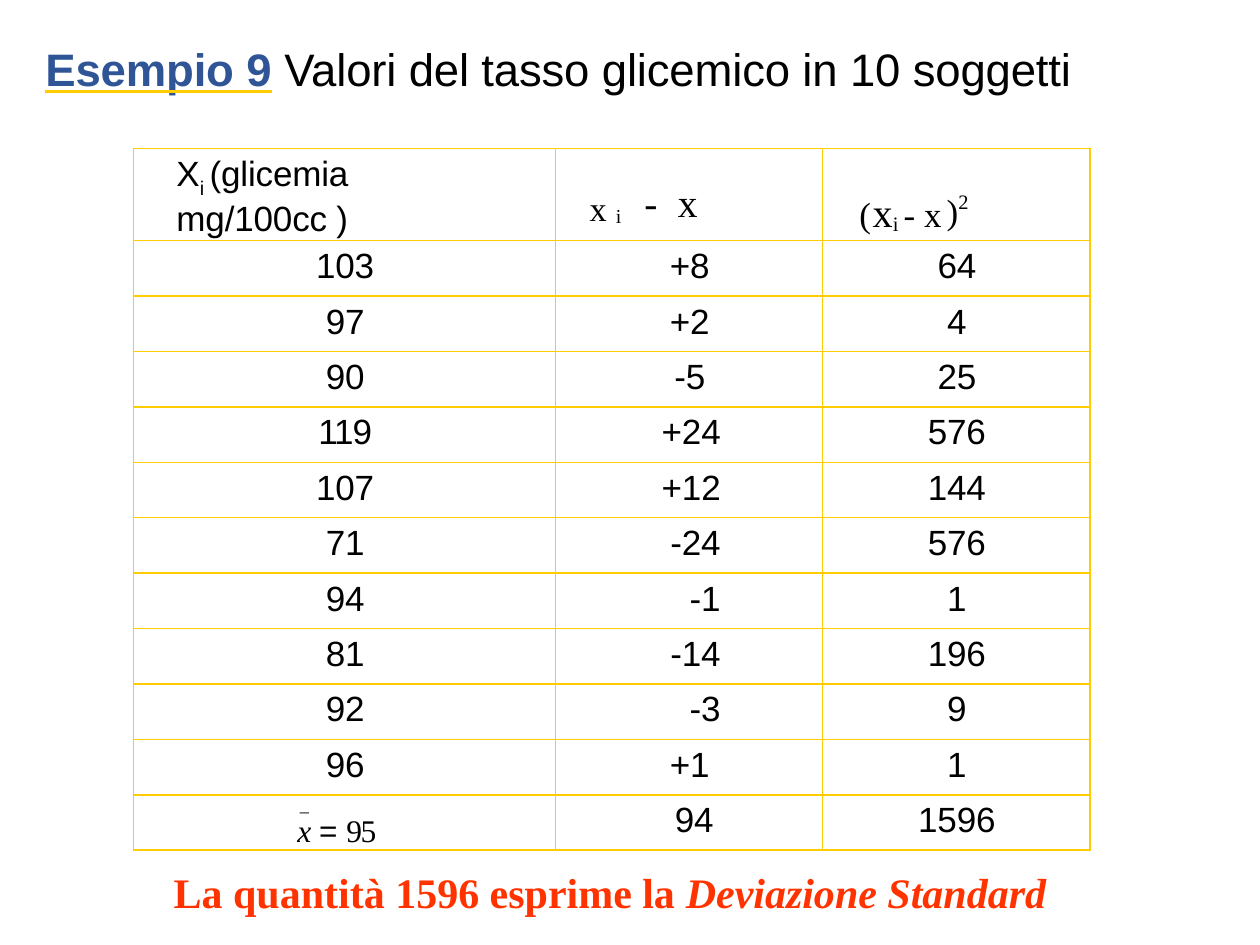
import pptx
import pptx.util
import pptx.oxml
import pptx.oxml.ns
import pptx.dml.color
import pptx.enum.text

Inch, Pt = pptx.util.Inches, pptx.util.Pt
Color = pptx.dml.color.RGBColor
Align = pptx.enum.text.PP_ALIGN
BLACK = Color(0, 0, 0)
BLUE = Color(0x2F, 0x55, 0x97)
RED = Color(0xFF, 0x33, 0x00)
GOLD = Color(0xFF, 0xCC, 0x00)
SANS, SERIF = "Arial", "Times New Roman"
NS = pptx.oxml.ns.nsdecls("a")

deck = pptx.Presentation()
deck.slide_width, deck.slide_height = Inch(10), Inch(7.5)
slide = deck.slides.add_slide(deck.slide_layouts[6])


def write(para, runs, indent=0, **form):
    """Fill a paragraph with runs of (text, font values, letter spacing, baseline %)."""
    para._p.get_or_add_pPr().set("marL", str(Inch(indent)))
    for key, value in form.items():
        setattr(para, key, value)
    for text, font, space, base in runs:
        run = para.add_run()
        run.text = text
        run.font.color.rgb = BLACK
        for key, value in font.items():
            if key == "color":
                run.font.color.rgb = value
            else:
                setattr(run.font, key, value)
        props = run._r.get_or_add_rPr()
        props.set("spc", str(round(space * 100)))
        if base:
            props.set("baseline", str(base * 1000))


def face(name, size, **more):
    return dict(name=name, size=Pt(size), **more)


# Table grid
ROWS = [
    ("103", "+8", "64"), ("97", "+2", "4"), ("90", "-5", "25"),
    ("119", "+24", "576"), ("107", "+12", "144"), ("71", "-24", "576"),
    ("94", "-1", "1"), ("81", "-14", "196"), ("92", "-3", "9"),
    ("96", "+1", "1"), ("", "94", "1596"),
]
frame = slide.shapes.add_table(len(ROWS) + 1, 3, Inch(1.06), Inch(1.18), Inch(7.59), Inch(5.56))
table = frame.table
table.first_row = table.horz_banding = False
for col, width in zip(table.columns, (3.35, 2.12, 2.12)):
    col.width = Inch(width)
for num, row in enumerate(table.rows):
    row.height = Inch(0.44 if num else 0.68)

# Cell margins, fill and borders
for cell in table.iter_cells():
    cell.margin_left = cell.margin_right = cell.margin_bottom = 0
    cell.margin_top = Inch(0.05)
    props = cell._tc.get_or_add_tcPr()
    for side in "LRTB":
        props.append(pptx.oxml.parse_xml(
            f'<a:ln{side} {NS} w="12700"><a:solidFill><a:srgbClr val="{GOLD}"/>'
            f'</a:solidFill></a:ln{side}>'))
    cell.fill.background()

# Header formulas: indent, top margin, space before, runs
HEADS = [
    (0.34, 0.05, 3.6, [
        ("X", face(SANS, 20), 0, 0), ("i ", face(SANS, 19.5), 0, -26),
        ("(glicemia\tmg/100cc )", face(SANS, 20), -0.1, 0)]),
    (0.27, 0.13, 9.4, [
        ("x", face(SERIF, 33.8), 5.2, -7), ("i ", face(SERIF, 19.5), 5.2, -17),
        ("- ", face(SERIF, 22.5), 3, 0), ("x", face(SERIF, 22.5), 4.5, 0)]),
    (0.29, 0.2, 14.2, [
        ("(", face(SERIF, 34.5), 1, 1), ("x", face(SERIF, 23), -0.3, 0),
        ("i ", face(SERIF, 20.2), 0, -10), ("- ", face(SERIF, 34.5), 0, 1),
        ("x", face(SERIF, 34.5), 2.9, 1), (")", face(SERIF, 34.5), 0, 5),
        ("2", face(SERIF, 20.2), 0, 51)]),
]
for num, (indent, top, gap, runs) in enumerate(HEADS):
    cell = table.cell(0, num)
    cell.margin_top = Inch(top)
    write(cell.text_frame.paragraphs[0], runs, indent, space_before=Pt(gap))
table.cell(0, 0).margin_right = Inch(0.5)

# Values; two-digit and late negative differences align right
RIGHT = range(4, 10)
for num, row in enumerate(ROWS, 1):
    for col, text in enumerate(row):
        if not text:
            continue
        cell = table.cell(num, col)
        right = col == 1 and num in RIGHT
        if right:
            cell.margin_right = Inch(0.81)
        indent = 0 if right else 0.08 if text == "94" and col else 0.01
        space = -0.6 if text == "119" else -0.1
        write(cell.text_frame.paragraphs[0], [(text, face(SANS, 20), space, 0)], indent,
              alignment=Align.RIGHT if right else Align.CENTER, space_before=Pt(3.6))

# Mean of x
mean = table.cell(len(ROWS), 0)
mean.margin_top = Inch(0.01)
write(mean.text_frame.paragraphs[0], [("_", face(SERIF, 10.5), 0, 0)], 1.32,
      line_spacing=Pt(11.3), space_before=Pt(0.7))
write(mean.text_frame.add_paragraph(), [
    ("x ", face(SERIF, 18, italic=True), 0, 0), ("= ", face(SANS, 18), 0, 0),
    ("95", face(SERIF, 18), -0.8, 0)], 1.3, line_spacing=Pt(18.9))

# Closing line
note = slide.shapes.add_textbox(Inch(1.18), Inch(6.63), Inch(8.06), Inch(0.64)).text_frame
note.word_wrap = True
bold = face(SERIF, 24, bold=True, color=RED)
write(note.paragraphs[0], [
    ("La quantità 1596 esprime la ", bold, 0, 0),
    ("Deviazione Standard", dict(bold, italic=True), 0, 0)],
    0.1, line_spacing=Pt(43), space_before=Pt(3.5))

# Title with a gold underline
title = slide.shapes.add_textbox(Inch(0.3), Inch(0.3), Inch(8.25), Inch(0.46)).text_frame
title.word_wrap = True
title.vertical_anchor = pptx.enum.text.MSO_ANCHOR.BOTTOM
title.margin_left = title.margin_right = title.margin_bottom = 0
title.margin_top = Inch(0.01)
lead = face(SANS, 26, bold=True, color=BLUE)
write(title.paragraphs[0], [
    ("Esempio 9", dict(lead, underline=True), -0.1, 0), (" ", lead, -0.1, 0),
    ("Valori del tasso glicemico in 10 soggetti", face(SANS, 26), -0.1, 0)],
    0.01, alignment=Align.CENTER, space_before=Pt(0.9))
props = title.paragraphs[0].runs[0]._r.get_or_add_rPr()
props.find(pptx.oxml.ns.qn("a:latin")).addprevious(pptx.oxml.parse_xml(
    f'<a:uFill {NS}><a:solidFill><a:srgbClr val="{GOLD}"/></a:solidFill></a:uFill>'))

deck.save("out.pptx")
